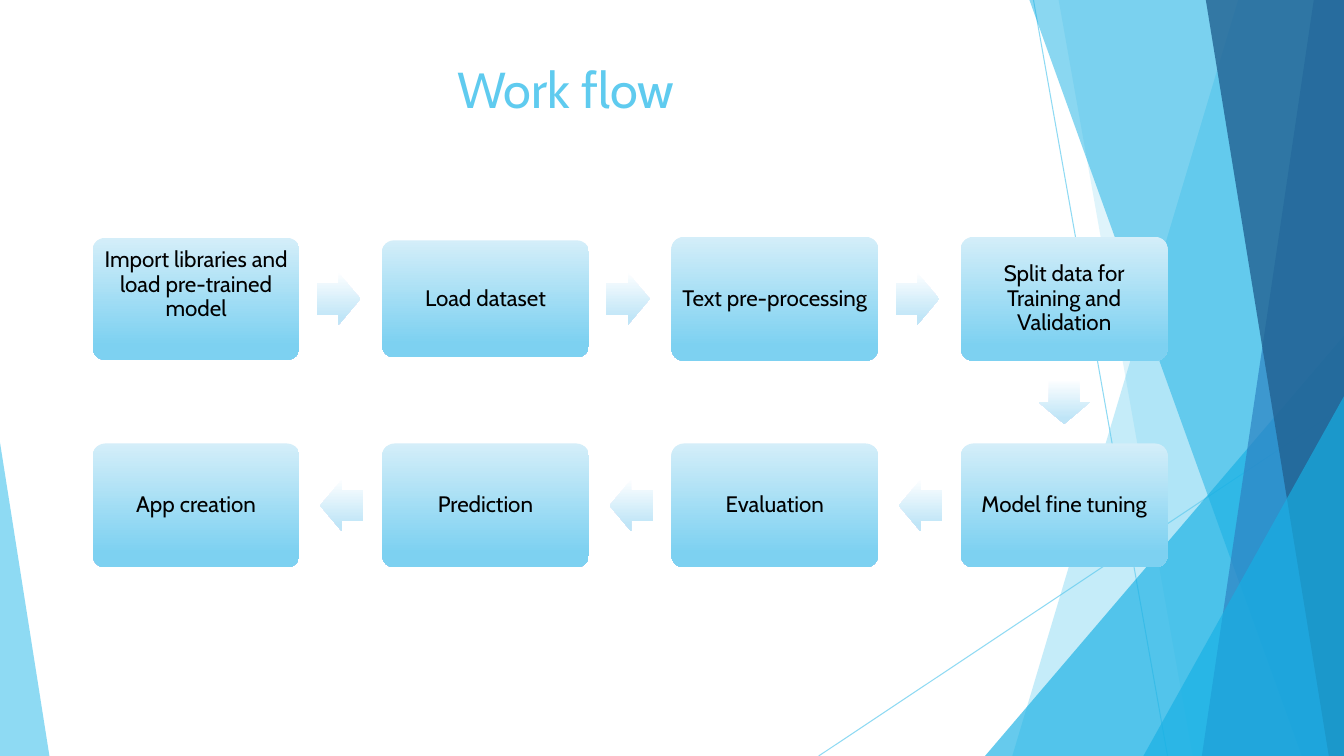
from lxml import etree
from pptx import Presentation
from pptx import util as u
from pptx.dml.color import RGBColor
from pptx.enum import shapes, text
from pptx.oxml.ns import qn

COLORS = {
    "sky": "5FCBEF", "cyan": "17B0E4", "blue": "2E83C3", "navy": "226292",
    "box_top": "D4EEF9", "box_bottom": "7DD1F1",
    "arrow_top": "FCFEFF", "arrow_bottom": "BFE5F7", "text": "000000",
}
FONT = "Cabin"
WIDTH, HEIGHT = 13.33, 7.5
BOX_WIDTH, BOX_HEIGHT, COLUMN_STEP = 2.05, 1.23, 2.87
ARROW_WIDTH, ARROW_HEIGHT = 0.43, 0.51
TOP_STEPS = [
    ("Import libraries and load pre-trained model", 1.21, text.MSO_ANCHOR.TOP),
    ("Load dataset", 1.16, text.MSO_ANCHOR.MIDDLE),
    ("Text pre-processing", BOX_HEIGHT, text.MSO_ANCHOR.MIDDLE),
    ("Split data for Training and Validation", BOX_HEIGHT, text.MSO_ANCHOR.MIDDLE),
]
BOTTOM_STEPS = ["App creation", "Prediction", "Evaluation", "Model fine tuning"]


def color(name):
    """Return the named colour."""
    return RGBColor.from_string(COLORS[name])


def set_translucent(fill_owner, name, opacity):
    """Give a shape or line a solid fill with an opacity in percent."""
    fill_owner.fill.solid()
    fill_owner.fill.fore_color.rgb = color(name)
    element = fill_owner.fill._xPr.find(qn("a:solidFill"))[0]
    etree.SubElement(element, qn("a:alpha")).set("val", str(opacity * 1000))


def set_gradient(shape, top, bottom):
    """Fill a shape from top to bottom, whatever its rotation."""
    shape.shadow.inherit = False
    shape.line.fill.background()
    shape.fill.gradient()
    shape.fill.gradient_angle = 270
    for stop, name, position in zip(shape.fill.gradient_stops, (top, bottom), (0, 0.88)):
        stop.color.rgb = color(name)
        stop.position = position
    shape.fill._xPr.find(qn("a:gradFill")).set("rotWithShape", "0")


def write(shape, words, size, name, anchor):
    """Put centred text in a shape."""
    frame = shape.text_frame
    frame.word_wrap = True
    frame.vertical_anchor = anchor
    frame.text = words
    paragraph = frame.paragraphs[0]
    paragraph.alignment = text.PP_ALIGN.CENTER
    font = paragraph.runs[0].font
    font.size, font.name = u.Pt(size), FONT
    font.color.rgb = color(name)


def add_ray(slide, start, end):
    """Draw one thin background line."""
    points = [u.Inches(value) for value in (*start, *end)]
    line = slide.shapes.add_connector(shapes.MSO_CONNECTOR.STRAIGHT, *points)
    line.line.width = u.Pt(0.75)
    set_translucent(line.line, "sky", 70)
    etree.SubElement(line._element.spPr, qn("a:effectLst"))


def add_band(slide, top_left, bottom_left, name, opacity):
    """Draw a slanted band that reaches the right edge of the slide."""
    builder = slide.shapes.build_freeform(u.Inches(top_left), 0)
    corners = [(WIDTH, 0), (WIDTH, HEIGHT), (bottom_left, HEIGHT)]
    builder.add_line_segments([(u.Inches(x), u.Inches(y)) for x, y in corners], close=True)
    band = builder.convert_to_shape()
    band.shadow.inherit = False
    band.line.fill.background()
    set_translucent(band, name, opacity)


def add_corner(slide, left, top, width, apex, name, opacity):
    """Draw a right triangle standing on the bottom edge of the slide."""
    corner = slide.shapes.add_shape(
        shapes.MSO_SHAPE.ISOSCELES_TRIANGLE,
        u.Inches(left), u.Inches(top), u.Inches(width), u.Inches(HEIGHT - top))
    corner.adjustments[0] = apex
    corner.shadow.inherit = False
    corner.line.fill.background()
    set_translucent(corner, name, opacity)


def add_background(slide):
    """Draw the translucent facets from back to front."""
    add_ray(slide, (10.25, 0), (11.58, HEIGHT))
    add_ray(slide, (WIDTH, 4.03), (8.12, HEIGHT))
    add_band(slide, 12.28, 10.04, "sky", 36)
    add_band(slide, 10.5, 11.83, "sky", 20)
    add_corner(slide, 9.77, 3.33, 3.56, 1, "cyan", 66)
    add_band(slide, 10.21, 12.91, "cyan", 50)
    add_band(slide, 13.03, 11.92, "blue", 70)
    add_band(slide, 11.96, 13.18, "navy", 80)
    add_corner(slide, 11.34, 3.93, 1.99, 1, "cyan", 66)
    add_corner(slide, 0, 4.39, 0.49, 0, "sky", 70)


def add_title(slide, left, top, width, height):
    """Write the slide title."""
    title = slide.shapes.add_textbox(*map(u.Inches, (left, top, width, height)))
    write(title, "Work flow", 36, "sky", text.MSO_ANCHOR.TOP)


def add_step(slide, left, middle, words, height, anchor):
    """Draw one step box centred on a height."""
    step = slide.shapes.add_shape(
        shapes.MSO_SHAPE.ROUNDED_RECTANGLE, u.Inches(left),
        u.Inches(middle - height / 2), u.Inches(BOX_WIDTH), u.Inches(height))
    step.adjustments[0] = 0.1
    set_gradient(step, "box_top", "box_bottom")
    write(step, words, 16, "text", anchor)
    frame = step.text_frame
    frame.margin_left = frame.margin_right = u.Inches(0.07)
    frame.margin_top = frame.margin_bottom = u.Inches(0.07)
    frame.paragraphs[0].line_spacing = 0.9


def add_arrow(slide, center, middle, rotation):
    """Draw one arrow around its centre."""
    arrow = slide.shapes.add_shape(
        shapes.MSO_SHAPE.RIGHT_ARROW,
        u.Inches(center - ARROW_WIDTH / 2), u.Inches(middle - ARROW_HEIGHT / 2),
        u.Inches(ARROW_WIDTH), u.Inches(ARROW_HEIGHT))
    arrow.adjustments[0], arrow.adjustments[1] = 0.6, 0.5
    arrow.rotation = rotation
    set_gradient(arrow, "arrow_top", "arrow_bottom")


def add_workflow(slide, left, top):
    """Lay out the two rows of steps and the arrows between them."""
    upper = top + BOX_HEIGHT / 2
    lower = upper + 2.05
    lefts = [left + COLUMN_STEP * column for column in range(len(TOP_STEPS))]
    for x, (words, height, anchor), below in zip(lefts, TOP_STEPS, BOTTOM_STEPS):
        add_step(slide, x, upper, words, height, anchor)
        add_step(slide, x, lower, below, BOX_HEIGHT, text.MSO_ANCHOR.MIDDLE)
    for x in lefts[:-1]:
        add_arrow(slide, x + 2.44, upper, 0)
        add_arrow(slide, x + 2.47, lower, 180)
    add_arrow(slide, lefts[-1] + BOX_WIDTH / 2, (upper + lower) / 2, 90)


def main():
    """Build and save the presentation."""
    presentation = Presentation()
    presentation.slide_width = u.Inches(WIDTH)
    presentation.slide_height = u.Inches(HEIGHT)
    slide = presentation.slides.add_slide(presentation.slide_layouts[6])
    add_background(slide)
    add_title(slide, 0.91, 0.53, 9.4, 0.79)
    add_workflow(slide, 0.92, 2.35)
    presentation.save("out.pptx")


if __name__ == "__main__":
    main()
